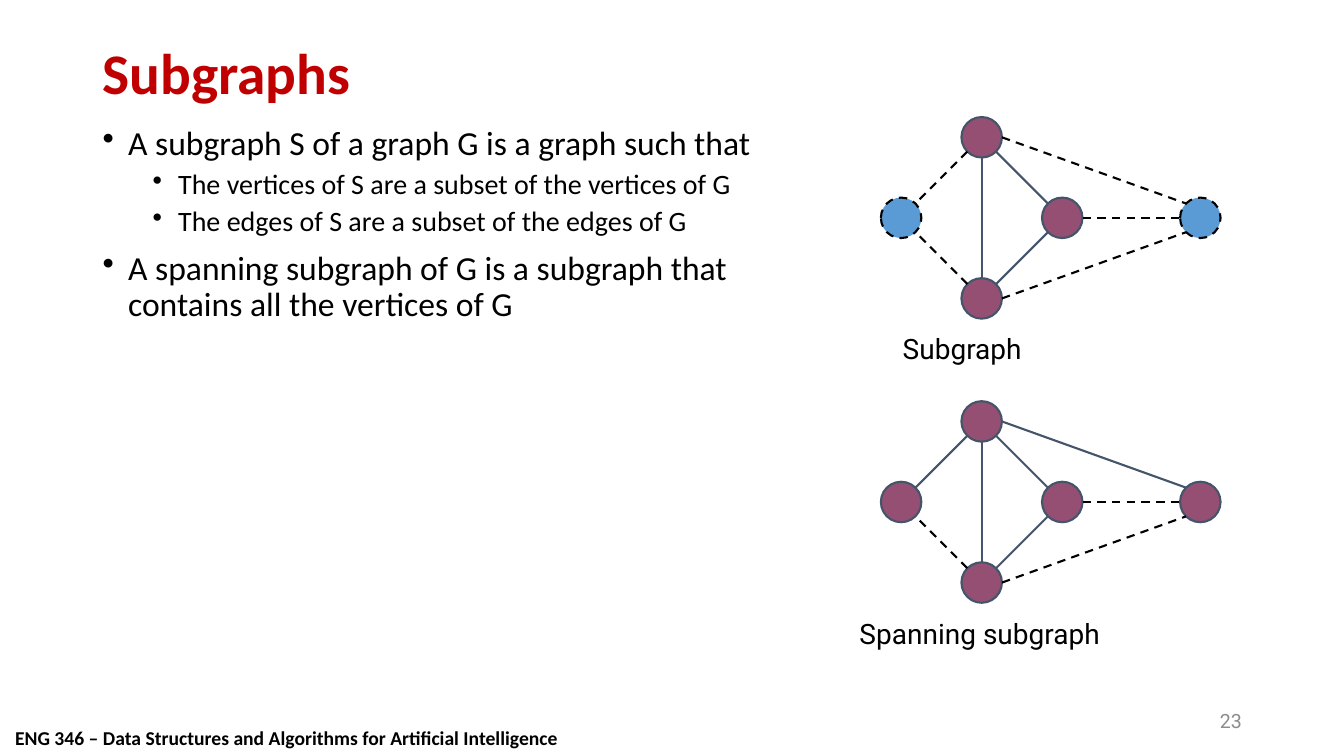
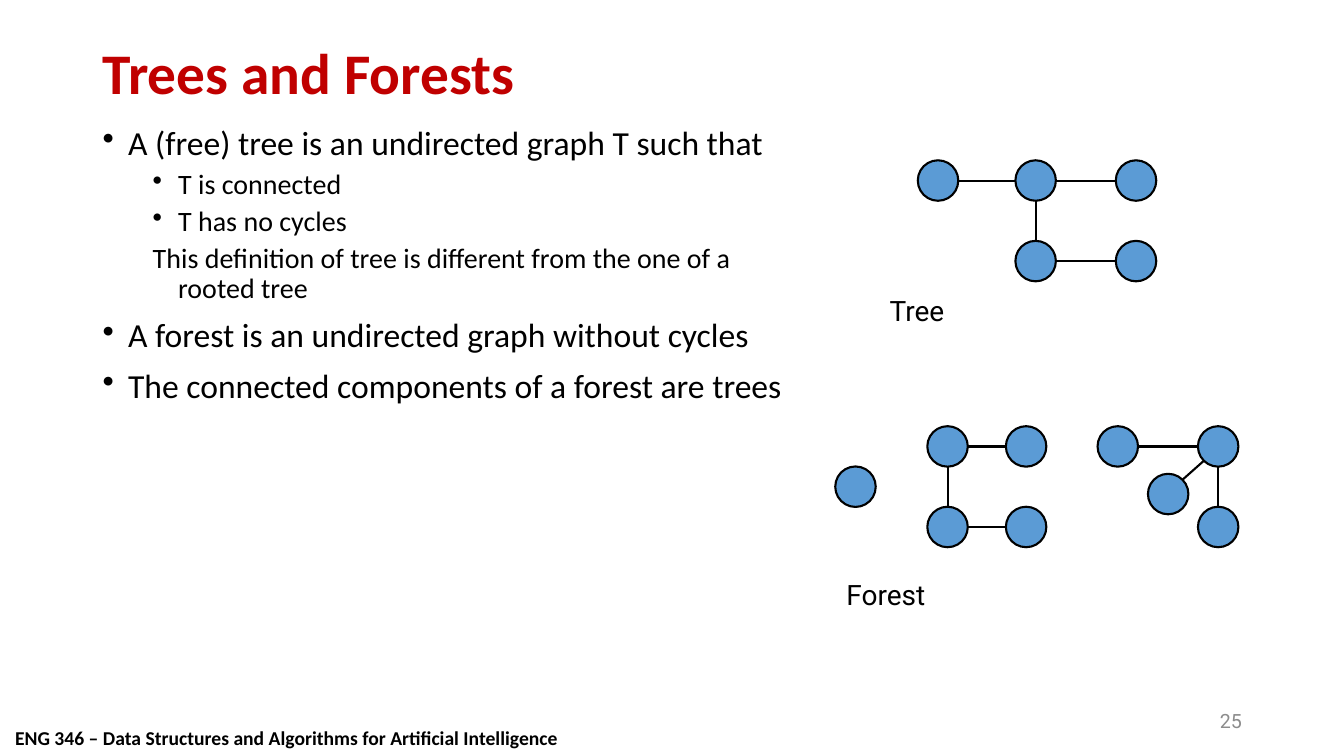
from typing import NamedTuple

from lxml import etree
from pptx import Presentation
from pptx import util as u
from pptx.dml.color import RGBColor
from pptx.enum import dml, shapes, text
from pptx.oxml.ns import qn

HUES = {
    "title": "C00000", "text": "000000", "page": "8C8C8C",
    "plum": "954F72", "slate": "44546A", "blue": "5B9BD5", "black": "000000",
}
DIAM = 1.02  # node diameter, cm
STEP = 2.03  # gap between graph rows, cm
DIAG = 0.71
# Points on a node's rim, as parts of its radius
RIM = {
    "n": (0, -1), "s": (0, 1), "e": (1, 0), "w": (-1, 0),
    "ne": (DIAG, -DIAG), "nw": (-DIAG, -DIAG),
    "se": (DIAG, DIAG), "sw": (-DIAG, DIAG),
}


class Box(NamedTuple):
    x: float
    y: float
    w: float
    h: float


class Font(NamedTuple):
    name: str
    size: float
    hue: str
    bold: bool = False


class Look(NamedTuple):
    fill: str
    line: str
    dash: bool = False


class Node(NamedTuple):
    x: float
    y: float
    look: Look


class Edge(NamedTuple):
    start: str
    out: str
    end: str
    into: str
    look: Look


class Item(NamedTuple):
    text: str
    level: int = 0
    mark: bool = True


PLUM = Look("plum", "slate")
BLUE = Look("blue", "black")
GHOST = Look("blue", "black", True)

TITLE = Font("Calibri", 41, "title", True)
FOOT = Font("Calibri", 14, "text", True)
PAGE = Font("Roboto", 14, "page")
LABEL = Font("Roboto", 20, "text")
# Per level: font, left margin (cm), space before (pt)
LEVELS = [
    (Font("Calibri", 24, "text"), 0.64, 10),
    (Font("Calibri", 20, "text"), 1.9, 5),
]


def rgb(hue: str) -> RGBColor:
    return RGBColor.from_string(HUES[hue])


def style(par, font: Font) -> None:
    for run in par.runs:
        run.font.name = font.name
        run.font.size = u.Pt(font.size)
        run.font.bold = font.bold
        run.font.color.rgb = rgb(font.hue)


def write(slide, box: Box, words: str, font: Font, mid: bool = False,
          wrap: bool = True):
    frame = slide.shapes.add_textbox(*map(u.Cm, box)).text_frame
    frame.word_wrap = wrap
    if mid:
        frame.vertical_anchor = text.MSO_ANCHOR.MIDDLE
    frame.text = words
    for par in frame.paragraphs:
        style(par, font)
    return frame


def add_list(slide, items: list[Item]) -> None:
    box = Box(2.34, 3.07, 18.1, 14.07)
    lines = "\n".join(item.text for item in items)
    frame = write(slide, box, lines, LEVELS[0][0])
    for num, (par, item) in enumerate(zip(frame.paragraphs, items)):
        font, left, gap = LEVELS[item.level]
        par.level = item.level
        props = par._p.get_or_add_pPr()
        props.set("marL", str(u.Cm(left)))
        props.set("indent", str(u.Cm(-0.64)))
        if item.mark:
            etree.SubElement(props, qn("a:buChar")).set("char", "•")
        else:
            etree.SubElement(props, qn("a:buNone"))
        par.line_spacing = 0.9
        if num:
            par.space_before = u.Pt(gap)
        style(par, font)


def ink(line, look: Look) -> None:
    line.color.rgb = rgb(look.line)
    line.width = u.Pt(1.5)
    if look.dash:
        line.dash_style = dml.MSO_LINE.DASH


def rim(node: Node, side: str) -> tuple[int, int]:
    dx, dy = RIM[side]
    return u.Cm(node.x + dx * DIAM / 2), u.Cm(node.y + dy * DIAM / 2)


def draw(slide, nodes: dict[str, Node], edges: list[Edge]) -> None:
    for node in nodes.values():
        box = Box(node.x - DIAM / 2, node.y - DIAM / 2, DIAM, DIAM)
        dot = slide.shapes.add_shape(shapes.MSO_SHAPE.OVAL, *map(u.Cm, box))
        dot.shadow.inherit = False
        dot.fill.solid()
        dot.fill.fore_color.rgb = rgb(node.look.fill)
        ink(dot.line, node.look)
    for edge in edges:
        link = slide.shapes.add_connector(
            shapes.MSO_CONNECTOR.STRAIGHT,
            *rim(nodes[edge.start], edge.out),
            *rim(nodes[edge.end], edge.into))
        etree.SubElement(link._element.spPr, qn("a:effectLst"))
        ink(link.line, edge.look)


def add_page(deck, title: str, page: int, items: list[Item]):
    slide = deck.slides.add_slide(deck.slide_layouts[6])
    write(slide, Box(0.13, 18.16, 14.3, 0.84),
          "ENG 346 – Data Structures and Algorithms for Artificial Intelligence",
          FOOT, wrap=False)
    head = write(slide, Box(2.34, 1.02, 29.21, 1.78), title, TITLE, mid=True)
    head.paragraphs[0].line_spacing = 0.9
    add_list(slide, items)
    foot = write(slide, Box(23.93, 17.65, 7.62, 1.02), str(page), PAGE, mid=True)
    foot.paragraphs[0].alignment = text.PP_ALIGN.RIGHT
    return slide


def label(slide, x: float, y: float, words: str) -> None:
    write(slide, Box(x, y, 9, 1.09), words, LABEL)


def diamond(slide, y: float, sides: Look, dashed: set[str]) -> None:
    """Five-node graph around height y; dashed names the edges left out."""
    x = 24.74
    nodes = {
        "top": Node(x, y - STEP, PLUM),
        "left": Node(x - STEP, y, sides),
        "mid": Node(x + STEP, y, PLUM),
        "low": Node(x, y + STEP, PLUM),
        "right": Node(30.25, y, sides),
    }
    routes = [
        ("top", "sw", "left", "ne"), ("low", "nw", "left", "se"),
        ("low", "ne", "mid", "sw"), ("top", "se", "mid", "nw"),
        ("top", "s", "low", "n"), ("mid", "e", "right", "w"),
        ("low", "e", "right", "sw"), ("top", "e", "right", "nw"),
    ]
    edges = [Edge(*way, GHOST if f"{way[0]}-{way[2]}" in dashed else PLUM)
             for way in routes]
    draw(slide, nodes, edges)


def blue(slide, spots: dict[str, tuple[float, float]],
         routes: list[tuple[str, str, str, str]]) -> None:
    nodes = {key: Node(x, y, BLUE) for key, (x, y) in spots.items()}
    draw(slide, nodes, [Edge(*way, BLUE) for way in routes])


def subgraphs(deck) -> None:
    slide = add_page(deck, "Subgraphs", 23, [
        Item("A subgraph S of a graph G is a graph such that"),
        Item("The vertices of S are a subset of the vertices of G", 1),
        Item("The edges of S are a subset of the edges of G", 1),
        Item("A spanning subgraph of G is a subgraph that contains all "
             "the vertices of G"),
    ])
    label(slide, 22.5, 8.23, "Subgraph")
    label(slide, 21.41, 15.4, "Spanning subgraph")
    spare = {"low-left", "mid-right", "low-right"}
    diamond(slide, 5.49, GHOST, spare | {"top-left", "top-right"})
    diamond(slide, 12.65, PLUM, spare)


def trees(deck) -> None:
    slide = add_page(deck, "Trees and Forests", 25, [
        Item("A (free) tree is an undirected graph T such that"),
        Item("T is connected", 1),
        Item("T has no cycles", 1),
        Item("This definition of tree is different from the one of a "
             "rooted tree", 1, False),
        Item("A forest is an undirected graph without cycles"),
        Item("The connected components of a forest are trees"),
    ])
    label(slide, 22.17, 7.26, "Tree")
    label(slide, 21.08, 14.43, "Forest")

    # Tree
    top = 4.55
    low = top + STEP
    blue(slide,
         {"a": (23.64, top), "b": (26.1, top), "c": (28.63, top),
          "d": (26.1, low), "e": (28.63, low)},
         [("a", "e", "b", "w"), ("b", "e", "c", "w"),
          ("b", "s", "d", "n"), ("d", "e", "e", "w")])

    # Forest: a lone node and two small trees
    top = 11.25
    low = top + STEP
    blue(slide,
         {"lone": (21.56, top + STEP / 2),
          "a": (23.88, top), "b": (25.86, top),
          "c": (23.88, low), "d": (25.86, low),
          "f": (28.17, top), "g": (30.7, top),
          "h": (29.44, 12.45), "i": (30.7, low)},
         [("a", "e", "b", "w"), ("a", "s", "c", "n"), ("c", "e", "d", "w"),
          ("f", "e", "g", "w"), ("g", "sw", "h", "ne"), ("g", "s", "i", "n")])


def main() -> None:
    deck = Presentation()
    deck.slide_width, deck.slide_height = u.Cm(33.87), u.Cm(19.05)
    subgraphs(deck)
    trees(deck)
    deck.save("out.pptx")


if __name__ == "__main__":
    main()
